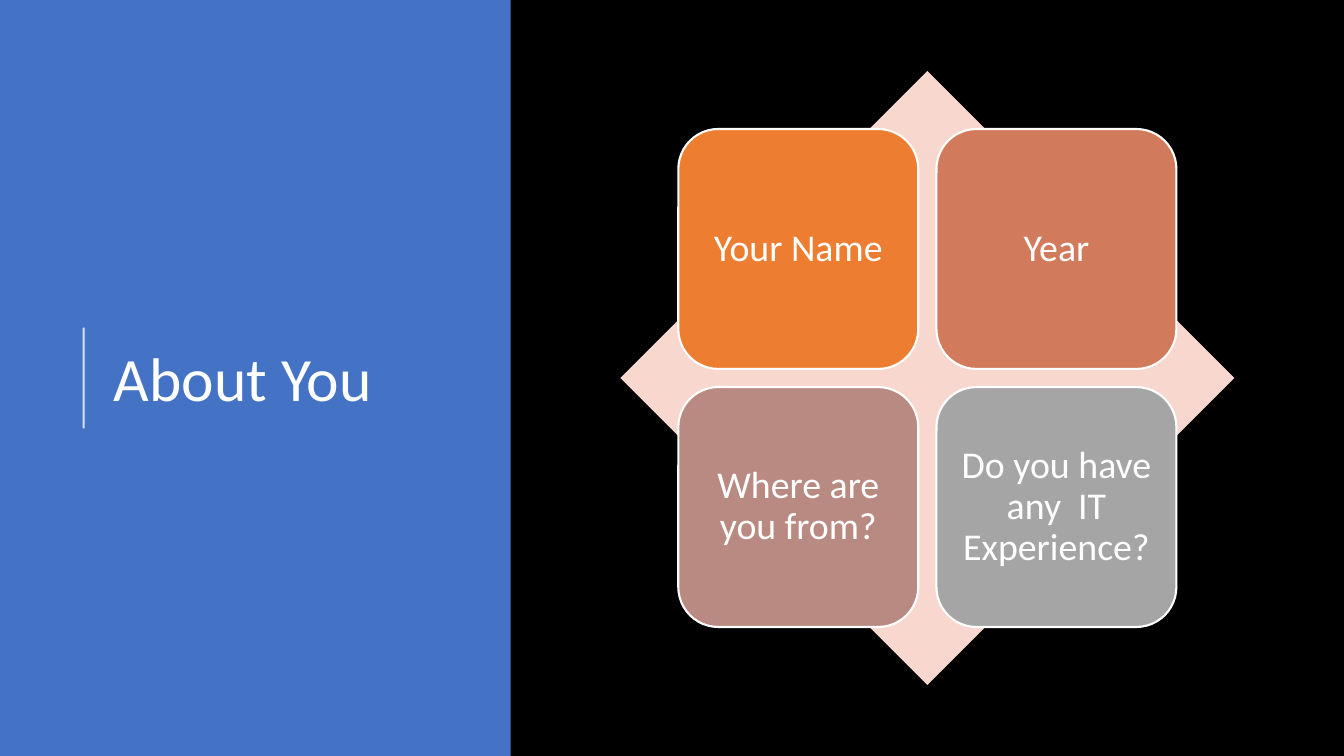
from dataclasses import dataclass

from lxml import etree
from pptx import Presentation
from pptx import util as u
from pptx.dml.color import RGBColor
from pptx.enum import shapes, text
from pptx.oxml.ns import qn

# Content: label and fill of each tile, row by row
TITLE = "About You"
TILES = [
    [("Your Name", "ED7D31"), ("Year", "D17B5C")],
    [("Where are you from?", "B98A82"), ("Do you have any  IT Experience?", "A5A5A5")],
]


@dataclass(frozen=True)
class Theme:
    back: str = "000000"
    panel: str = "4472C4"
    gem: str = "F8D7CE"
    ink: str = "FFFFFF"
    font: str = "Calibri"
    head: int = 44
    label: int = 27
    rule: float = 1.5


THEME = Theme()

# Layout in inches
WIDE, HIGH = 13.33, 7.5
PANEL = 0.38 * WIDE
MID_X, MID_Y = 0.69 * WIDE, HIGH / 2
GEM = 6.09
TILE, STEP = 2.38, 2.56
RULE_X, RULE_LEN = 0.83, 1.0
PAD = 0.11


def tint(name):
    return RGBColor.from_string(name)


def draw(slide, kind, left, top, wide, high, fill, edge=False):
    shape = slide.shapes.add_shape(kind, *map(u.Inches, (left, top, wide, high)))
    shape.shadow.inherit = False
    shape.fill.solid()
    shape.fill.fore_color.rgb = tint(fill)
    if edge:
        shape.line.color.rgb = tint(THEME.ink)
        shape.line.width = u.Pt(THEME.rule)
    else:
        shape.line.fill.background()
    return shape


def write(shape, words, size, align):
    frame = shape.text_frame
    frame.word_wrap = True
    frame.auto_size = text.MSO_AUTO_SIZE.NONE
    frame.vertical_anchor = text.MSO_ANCHOR.MIDDLE
    para = frame.paragraphs[0]
    para.alignment = align
    para.line_spacing = 0.9
    run = para.add_run()
    run.text = words
    run.font.name = THEME.font
    run.font.size = u.Pt(size)
    run.font.color.rgb = tint(THEME.ink)
    return frame


def add_rule(slide):
    ends = (RULE_X, MID_Y + RULE_LEN / 2, RULE_X, MID_Y - RULE_LEN / 2)
    rule = slide.shapes.add_connector(shapes.MSO_CONNECTOR.STRAIGHT, *map(u.Inches, ends))
    rule.line.color.rgb = tint(THEME.ink)
    rule.line.width = u.Pt(THEME.rule)
    props = rule.element.spPr
    shade = props.find(".//" + qn("a:srgbClr"))
    etree.SubElement(shade, qn("a:alpha")).set("val", "80000")
    etree.SubElement(props, qn("a:effectLst"))


def main():
    deck = Presentation()
    deck.slide_width, deck.slide_height = u.Inches(WIDE), u.Inches(HIGH)
    slide = deck.slides.add_slide(deck.slide_layouts[5])
    slide.background.fill.solid()
    slide.background.fill.fore_color.rgb = tint(THEME.back)

    # Side panel and rule
    kinds = shapes.MSO_SHAPE
    draw(slide, kinds.RECTANGLE, 0, 0, PANEL, HIGH, THEME.panel)
    add_rule(slide)

    # Title, raised above the panel
    title = slide.shapes.title
    title.left, title.top = u.Inches(1.03), u.Inches(0.78)
    title.width, title.height = u.Inches(3.69), u.Inches(6.02)
    write(title, TITLE, THEME.head, text.PP_ALIGN.LEFT)
    title.element.getparent().append(title.element)

    # Diamond behind a two by two grid of tiles
    draw(slide, kinds.DIAMOND, MID_X - GEM / 2, MID_Y - GEM / 2, GEM, GEM, THEME.gem)
    left, top = (mid - (STEP + TILE) / 2 for mid in (MID_X, MID_Y))
    for row, line in enumerate(TILES):
        for col, (label, fill) in enumerate(line):
            tile = draw(slide, kinds.ROUNDED_RECTANGLE, left + col * STEP,
                        top + row * STEP, TILE, TILE, fill, edge=True)
            frame = write(tile, label, THEME.label, text.PP_ALIGN.CENTER)
            frame.margin_left = frame.margin_right = u.Inches(PAD)
            frame.margin_top = frame.margin_bottom = u.Inches(PAD)

    deck.save("out.pptx")


if __name__ == "__main__":
    main()
